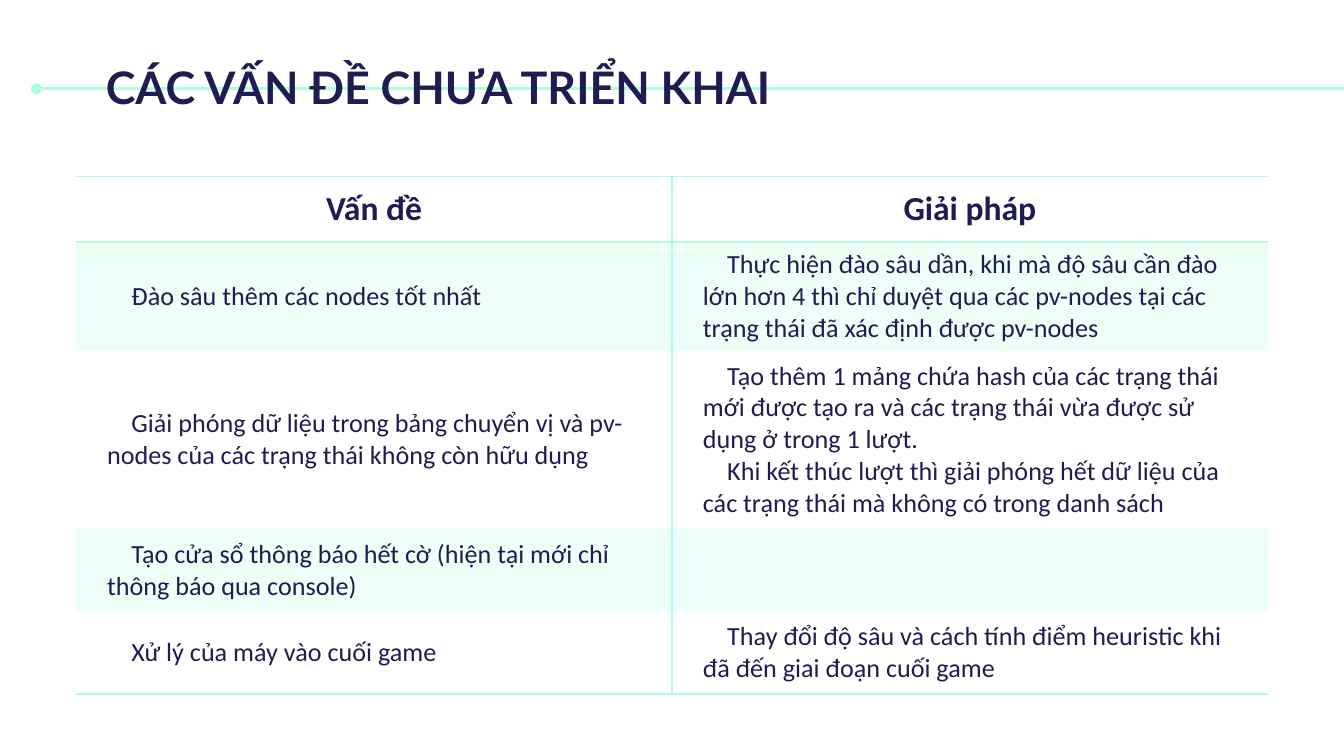
from lxml.etree import SubElement
from pptx import Presentation
from pptx.dml.color import RGBColor
from pptx.enum.shapes import MSO_CONNECTOR as Connector
from pptx.enum.text import MSO_ANCHOR as Anchor, PP_ALIGN as Align
from pptx.oxml.ns import qn
from pptx.util import Cm, Pt

# Content
TITLE = "CÁC VẤN ĐỀ CHƯA TRIỂN KHAI"
HEADINGS = ("Vấn đề", "Giải pháp")
ISSUES = [
    ("Đào sâu thêm các nodes tốt nhất",
     "Thực hiện đào sâu dần, khi mà độ sâu cần đào lớn hơn 4 thì chỉ duyệt "
     "qua các pv-nodes tại các trạng thái đã xác định được pv-nodes"),
    ("Giải phóng dữ liệu trong bảng chuyển vị và pv-nodes của các trạng thái "
     "không còn hữu dụng",
     "Tạo thêm 1 mảng chứa hash của các trạng thái mới được tạo ra và các "
     "trạng thái vừa được sử dụng ở trong 1 lượt.\n"
     "Khi kết thúc lượt thì giải phóng hết dữ liệu của các trạng thái mà "
     "không có trong danh sách"),
    ("Tạo cửa sổ thông báo hết cờ (hiện tại mới chỉ thông báo qua console)", ""),
    ("Xử lý của máy vào cuối game",
     "Thay đổi độ sâu và cách tính điểm heuristic khi đã đến giai đoạn cuối game"),
]
ROW_HEIGHTS = (1.23, 1.88, 3.37, 1.56, 1.56)
COLUMN_WIDTH = 11.26

THEME = {
    "ink": RGBColor(0x1F, 0x1C, 0x51), "mint": RGBColor(0xAC, 0xFF, 0xD9),
    "title_font": "Lato", "body_font": "Calibri",
    "title": Pt(24), "heading": Pt(18), "body": Pt(14),
    "rule": Pt(1.5), "outer_border": Pt(1), "inner_border": Pt(0.75),
    "tint_alpha": 20000,
}


def style_text(paragraph, font, size, bold):
    for run in paragraph.runs:
        run.font.name, run.font.size, run.font.bold = font, size, bold
        run.font.color.rgb = THEME["ink"]


def set_borders(cell, widths):
    """Draw the sides given in widths and clear the others."""
    props = cell._tc.get_or_add_tcPr()
    for side in "LRTB":
        width = widths.get(side)
        border = SubElement(props, qn(f"a:ln{side}"), w=str(width or 0))
        if width:
            paint = SubElement(border, qn("a:solidFill"))
            SubElement(paint, qn("a:srgbClr"), val=str(THEME["mint"]))
        else:
            SubElement(border, qn("a:noFill"))


def tint(cell):
    cell.fill.solid()
    cell.fill.fore_color.rgb = THEME["mint"]
    color = cell._tc.tcPr.find(qn("a:solidFill")).find(qn("a:srgbClr"))
    SubElement(color, qn("a:alpha"), val=str(THEME["tint_alpha"]))


def fill_cell(cell, text, is_heading):
    cell.vertical_anchor = Anchor.MIDDLE
    cell.text_frame.text = text
    for number, paragraph in enumerate(cell.text_frame.paragraphs):
        paragraph.space_before = Pt(0 if number else 16)
        style_text(paragraph, THEME["body_font"],
                   THEME["heading" if is_heading else "body"], is_heading)
        if is_heading:
            paragraph.alignment = Align.CENTER
        else:
            props = paragraph._p.get_or_add_pPr()
            props.set("marL", str(Cm(0.33)))
            props.set("indent", str(Cm(0.46)))


prs = Presentation()
prs.slide_width, prs.slide_height = Cm(25.4), Cm(14.29)
slide = prs.slides.add_slide(prs.slide_layouts[5])

# Title
title = slide.shapes.title
title.left, title.top, title.width, title.height = Cm(1.75), Cm(0.89), Cm(16.89), Cm(1.5)
frame = title.text_frame
frame.text = TITLE
frame.vertical_anchor = Anchor.MIDDLE
frame.margin_left = frame.margin_right = Cm(0.25)
frame.margin_top = frame.margin_bottom = Cm(0.25)
frame.paragraphs[0].alignment = Align.LEFT
style_text(frame.paragraphs[0], THEME["title_font"], THEME["title"], True)

# Rule behind the title, with a round start
rule = slide.shapes.add_connector(Connector.STRAIGHT, Cm(0.69), Cm(1.68), Cm(25.65), Cm(1.68))
rule.line.color.rgb = THEME["mint"]
rule.line.width = THEME["rule"]
SubElement(rule.line._ln, qn("a:headEnd"), type="oval")
SubElement(rule._element.spPr, qn("a:effectLst"))
title._element.addprevious(rule._element)

# Table of issues and solutions
rows = [HEADINGS, *ISSUES]
table = slide.shapes.add_table(
    len(rows), len(HEADINGS), Cm(1.44), Cm(3.34),
    Cm(COLUMN_WIDTH * len(HEADINGS)), Cm(sum(ROW_HEIGHTS))).table
table.first_row = table.horz_banding = False
for column in table.columns:
    column.width = Cm(COLUMN_WIDTH)

for r, (texts, height) in enumerate(zip(rows, ROW_HEIGHTS)):
    table.rows[r].height = Cm(height)
    for c, text in enumerate(texts):
        cell = table.cell(r, c)
        fill_cell(cell, text, r == 0)
        borders = {"L" if c else "R": THEME["inner_border"]}
        if r < 2:
            borders["B" if r == 0 else "T"] = THEME["outer_border"]
        if r == 0:
            borders["T"] = THEME["outer_border"]
        if r == len(rows) - 1:
            borders["B"] = THEME["outer_border"]
        set_borders(cell, borders)
        if r % 2:
            tint(cell)
        else:
            cell.fill.background()

prs.save("out.pptx")
